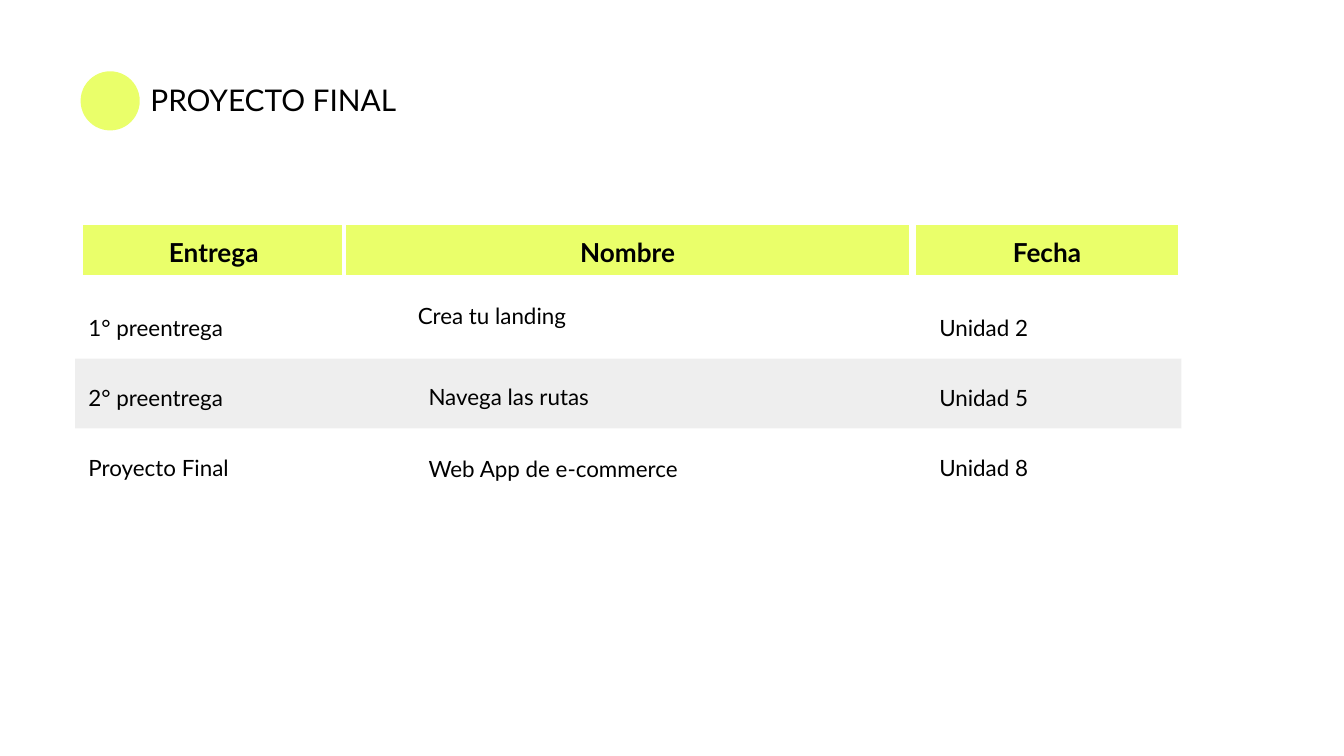
from pptx import Presentation
from pptx.dml.color import RGBColor
from pptx.enum import shapes, text
from pptx.util import Pt

TITLE = "PROYECTO FINAL"
# heading, left, width
COLUMNS = [("Entrega", 43.2, 142.6), ("Nombre", 184.3, 303.8), ("Fecha", 489.6, 142.6)]
ROWS = [
    ("1° preentrega", "Crea tu landing", "Unidad 2"),
    ("2° preentrega", "Navega las rutas", "Unidad 5"),
    ("Proyecto Final", "Web App de e-commerce", "Unidad 8"),
]
# left and top of each project name, which sits off the row grid
NAME_PLACES = [(216.7, 154.8), (222.5, 198), (222.5, 236.9)]

THEME = {
    "font": "Lato",
    "ink": RGBColor(0, 0, 0),
    "paper": RGBColor(0xFF, 0xFF, 0xFF),
    "accent": RGBColor(0xEA, 0xFF, 0x6A),
    "band": RGBColor(0xEE, 0xEE, 0xEE),
    "title": 16, "heading": 14, "body": 12,
}
HEADER_TOP, HEADER_HEIGHT = 119.5, 28.8
ROW_TOP, ROW_STEP, CELL_HEIGHT = 159.1, 37.45, 33.1
STAGE_LEFT, UNIT_LEFT, CELL_WIDTH = 40.3, 496.1, 142.6
INSET = 7.2


def write(box, content, size, bold=False, align=text.PP_ALIGN.LEFT, spacing=1.0):
    frame = box.text_frame
    frame.word_wrap = True
    frame.auto_size = text.MSO_AUTO_SIZE.NONE
    frame.vertical_anchor = text.MSO_ANCHOR.TOP
    frame.margin_left = frame.margin_right = Pt(INSET)
    frame.margin_top = frame.margin_bottom = Pt(INSET)
    para = frame.paragraphs[0]
    para.alignment, para.line_spacing = align, spacing
    para.space_before = Pt(0)
    span = para.add_run()
    span.text = content
    span.font.name, span.font.size, span.font.bold = THEME["font"], Pt(size), bold
    span.font.color.rgb = THEME["ink"]


def add_text(page, place, content, **style):
    write(page.shapes.add_textbox(*map(Pt, place)), content, **style)


def add_block(page, kind, place, fill, line=None):
    block = page.shapes.add_shape(kind, *map(Pt, place))
    block.shadow.inherit = False
    block.fill.solid()
    block.fill.fore_color.rgb = fill
    if line is None:
        block.line.fill.background()
    else:
        block.line.color.rgb, block.line.width = line, Pt(2.25)
    return block


def add_title(page):
    title = page.shapes.title
    title.left, title.top, title.width, title.height = map(Pt, (73.4, 36.7, 193.7, 33.8))
    write(title, TITLE, size=THEME["title"])
    add_block(page, shapes.MSO_SHAPE.OVAL, (43.2, 38.2, 31.7, 31.7), THEME["accent"])


def add_schedule(page):
    rectangle = shapes.MSO_SHAPE.RECTANGLE
    add_block(page, rectangle, (40.3, 192.2, 592.6, 37.4), THEME["band"])
    for heading, left, width in COLUMNS:
        place = (left, HEADER_TOP, width, HEADER_HEIGHT)
        header = add_block(page, rectangle, place, THEME["accent"], THEME["paper"])
        write(header, heading, size=THEME["heading"], bold=True, align=text.PP_ALIGN.CENTER)
    for index, ((stage, name, unit), name_place) in enumerate(zip(ROWS, NAME_PLACES)):
        top = ROW_TOP + index * ROW_STEP
        for left, content in ((STAGE_LEFT, stage), (UNIT_LEFT, unit)):
            add_text(page, (left, top, CELL_WIDTH, CELL_HEIGHT), content,
                     size=THEME["body"], spacing=1.15)
        add_text(page, (*name_place, 179.3, 28.8), name, size=THEME["body"])


def main():
    deck = Presentation()
    deck.slide_width, deck.slide_height = Pt(720), Pt(405)
    page = deck.slides.add_slide(deck.slide_layouts[5])
    page.background.fill.solid()
    page.background.fill.fore_color.rgb = THEME["paper"]
    add_title(page)
    add_schedule(page)
    deck.save("out.pptx")


if __name__ == "__main__":
    main()
